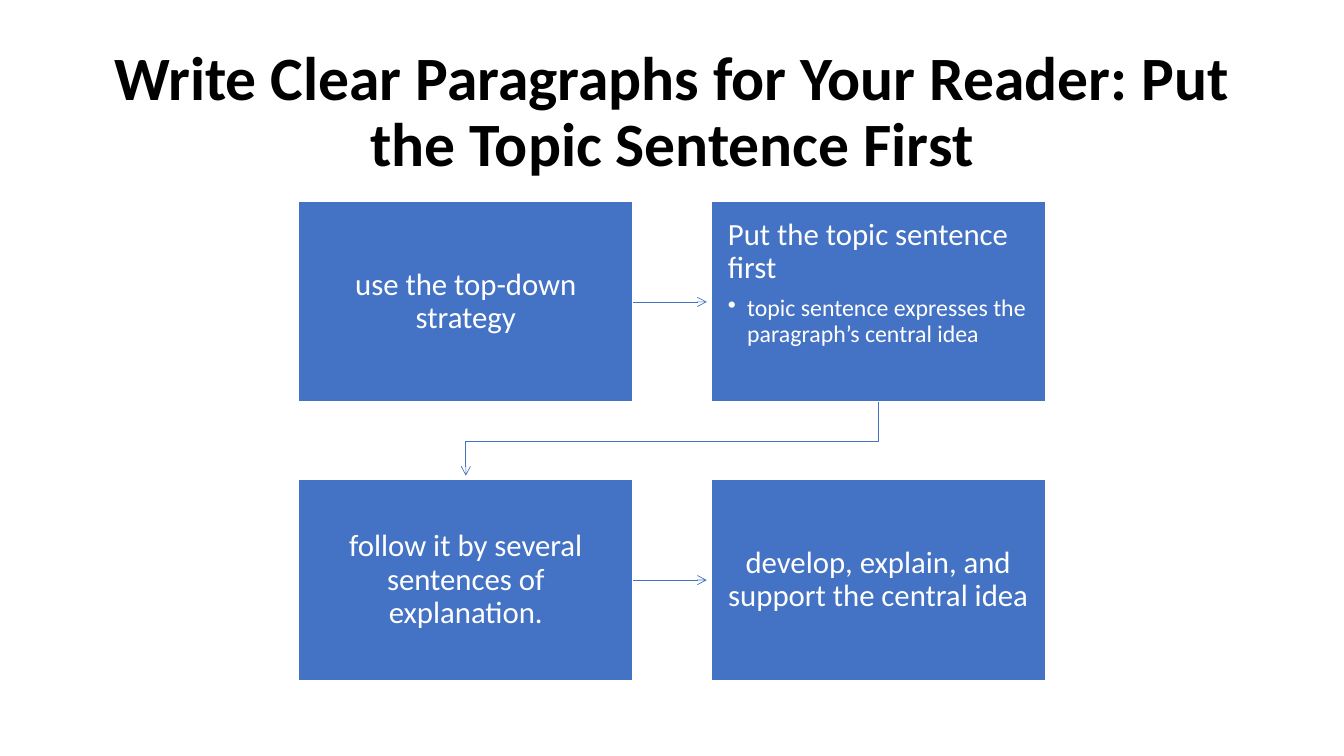
"""Build a slide with a four-step flow about clear paragraphs."""
from dataclasses import dataclass

from pptx import Presentation
from pptx.dml.color import RGBColor
from pptx.enum import shapes, text
from pptx.oxml.ns import qn
from pptx.util import Inches, Pt
from lxml import etree

FONT = "Calibri"
BLUE, WHITE, BLACK = "4472C4", "FFFFFF", "000000"
BOX_WIDTH, BOX_HEIGHT = 3.32, 1.99
LEFT, TOP = 2.96, 2.0
STEP_X, STEP_Y = 4.09, 2.76
ARROW_GAP = 0.04
PADDING = 0.17
BULLET_INDENT = 0.19


@dataclass
class Step:
    """One box of the flow, placed by grid column and row."""
    column: int
    row: int
    heading: str
    bullet: str = ""

    @property
    def left(self) -> float:
        """Left edge in inches."""
        return LEFT + self.column * STEP_X

    @property
    def top(self) -> float:
        """Top edge in inches."""
        return TOP + self.row * STEP_Y

    @property
    def center_x(self) -> float:
        """Horizontal centre in inches."""
        return self.left + BOX_WIDTH / 2

    @property
    def center_y(self) -> float:
        """Vertical centre in inches."""
        return self.top + BOX_HEIGHT / 2


STEPS = [
    Step(0, 0, "use the top-down strategy"),
    Step(1, 0, "Put the topic sentence first",
         "topic sentence expresses the paragraph’s central idea"),
    Step(0, 1, "follow it by several sentences of explanation."),
    Step(1, 1, "develop, explain, and support the central idea"),
]


def rgb(color: str) -> RGBColor:
    """Turn a hex string into a colour."""
    return RGBColor.from_string(color)


def format_paragraph(paragraph, size: float, color: str, centered: bool,
                     space_after: float = 0, bold: bool = False) -> None:
    """Set the spacing, alignment and font of a paragraph."""
    paragraph.alignment = text.PP_ALIGN.CENTER if centered else text.PP_ALIGN.LEFT
    paragraph.line_spacing = 0.9
    paragraph.space_after = Pt(space_after)
    for run in paragraph.runs:
        run.font.name = FONT
        run.font.size = Pt(size)
        run.font.bold = bold
        run.font.color.rgb = rgb(color)


def add_bullet(paragraph) -> None:
    """Give a paragraph a hanging bullet."""
    properties = paragraph._p.get_or_add_pPr()
    properties.set("marL", str(Inches(BULLET_INDENT)))
    properties.set("indent", str(-Inches(BULLET_INDENT)))
    etree.SubElement(properties, qn("a:buChar")).set("char", "•")


def add_title(slide, wording: str) -> None:
    """Add the slide title."""
    box = slide.shapes.add_textbox(Inches(0.92), Inches(0.4), Inches(11.5), Inches(1.45))
    frame = box.text_frame
    frame.word_wrap = True
    frame.vertical_anchor = text.MSO_ANCHOR.MIDDLE
    frame.text = wording
    format_paragraph(frame.paragraphs[0], 44, BLACK, centered=True, bold=True)


def add_step(slide, step: Step) -> None:
    """Draw a box with its text; a box with a bullet reads from the top left."""
    shape = slide.shapes.add_shape(
        shapes.MSO_SHAPE.RECTANGLE, Inches(step.left), Inches(step.top),
        Inches(BOX_WIDTH), Inches(BOX_HEIGHT))
    shape.shadow.inherit = False
    shape.fill.solid()
    shape.fill.fore_color.rgb = rgb(BLUE)
    shape.line.color.rgb = rgb(WHITE)
    shape.line.width = Pt(1)
    frame = shape.text_frame
    frame.word_wrap = True
    frame.margin_left = frame.margin_right = Inches(PADDING)
    frame.margin_top = frame.margin_bottom = Inches(PADDING)
    frame.vertical_anchor = text.MSO_ANCHOR.TOP if step.bullet else text.MSO_ANCHOR.MIDDLE
    frame.text = step.heading
    format_paragraph(frame.paragraphs[0], 22, WHITE, not step.bullet, space_after=7.7)
    if step.bullet:
        paragraph = frame.add_paragraph()
        paragraph.text = step.bullet
        paragraph.level = 1
        format_paragraph(paragraph, 17, WHITE, centered=False, space_after=2.6)
        add_bullet(paragraph)


def style_arrow(arrow) -> None:
    """Make a thin blue line with an open arrowhead and no shadow."""
    arrow.line.color.rgb = rgb(BLUE)
    arrow.line.width = Pt(0.5)
    line = arrow.line._get_or_add_ln()
    etree.SubElement(line, qn("a:tailEnd")).set("type", "arrow")
    etree.SubElement(arrow._element.spPr, qn("a:effectLst"))


def add_straight_arrow(slide, start: Step, end: Step) -> None:
    """Point from one box to the next in the same row."""
    style_arrow(slide.shapes.add_connector(
        shapes.MSO_CONNECTOR.STRAIGHT,
        Inches(start.left + BOX_WIDTH), Inches(start.center_y),
        Inches(end.left - ARROW_GAP), Inches(end.center_y)))


def add_return_arrow(slide, start: Step, end: Step) -> None:
    """Lead from the end of one row to the start of the next."""
    bottom = start.top + BOX_HEIGHT
    middle = (bottom + end.top) / 2
    points = [(start.center_x, middle), (end.center_x, middle),
              (end.center_x, end.top - ARROW_GAP)]
    builder = slide.shapes.build_freeform(Inches(start.center_x), Inches(bottom))
    builder.add_line_segments([(Inches(x), Inches(y)) for x, y in points], close=False)
    arrow = builder.convert_to_shape()
    arrow.fill.background()
    style_arrow(arrow)


def main() -> None:
    """Build and save the presentation."""
    presentation = Presentation()
    presentation.slide_width = Inches(13.33)
    presentation.slide_height = Inches(7.5)
    slide = presentation.slides.add_slide(presentation.slide_layouts[6])
    add_title(slide, "Write Clear Paragraphs for Your Reader: Put the Topic Sentence First")
    for step in STEPS:
        add_step(slide, step)
    for start, end in zip(STEPS, STEPS[1:]):
        draw_arrow = add_straight_arrow if start.row == end.row else add_return_arrow
        draw_arrow(slide, start, end)
    presentation.save("out.pptx")


main()
